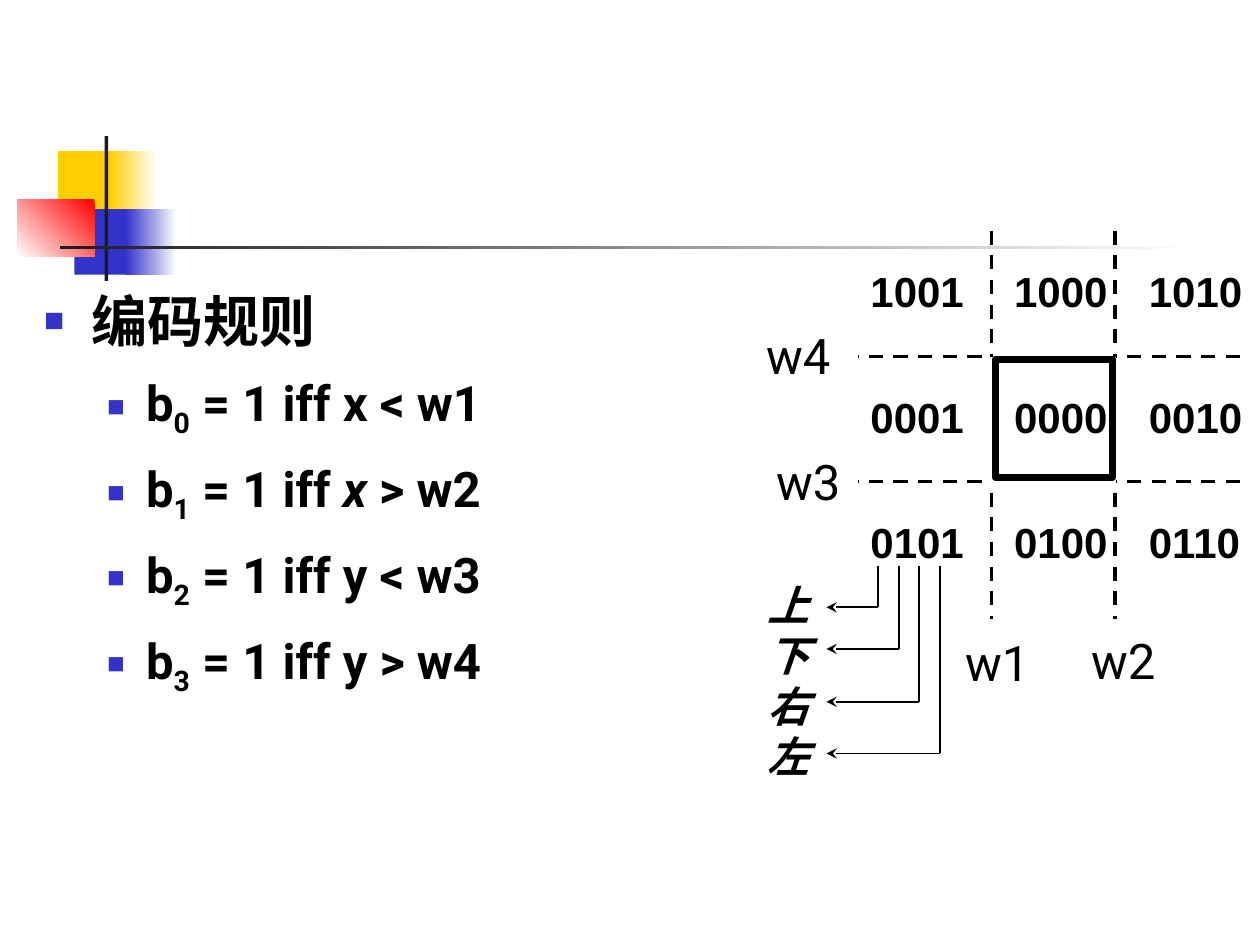
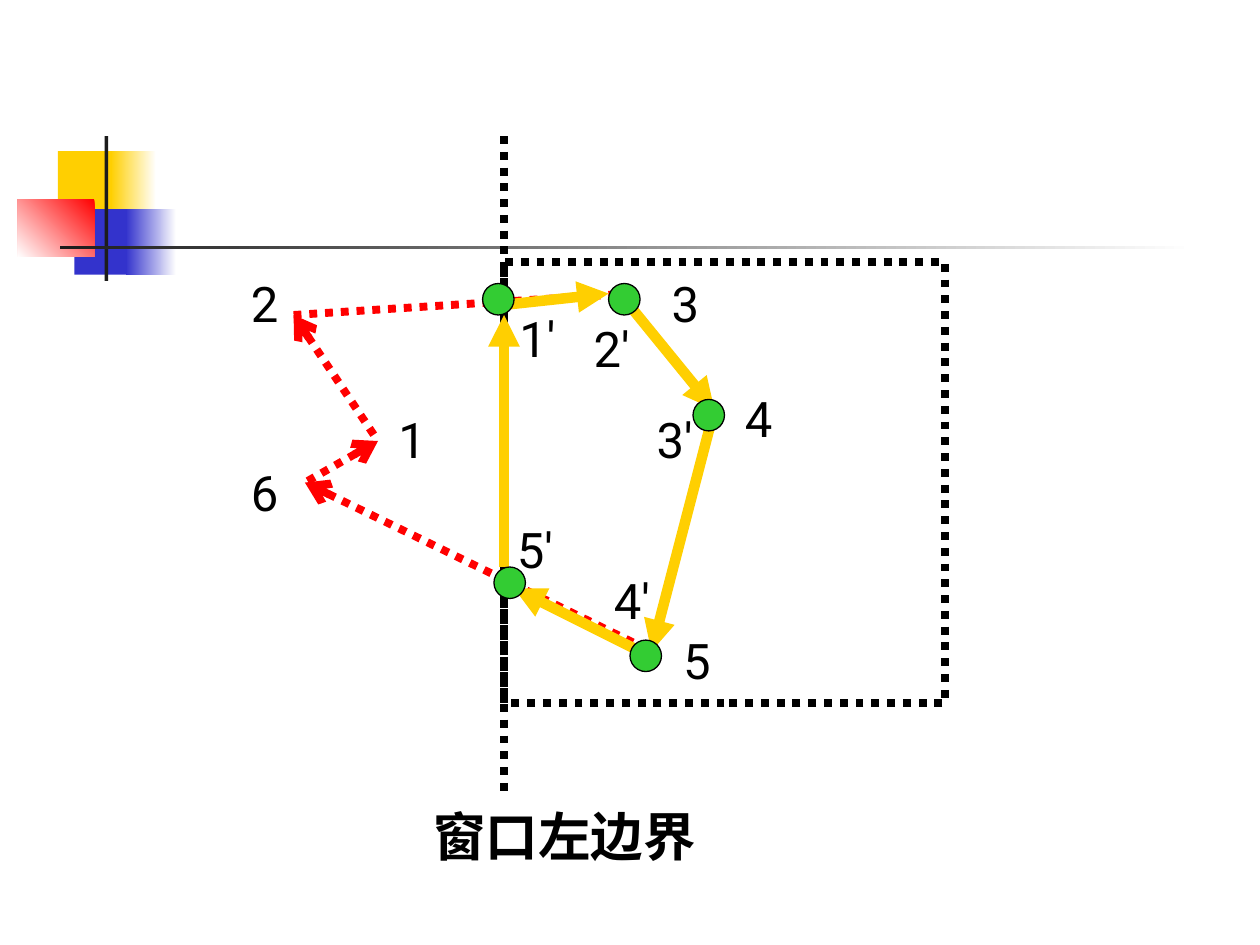
from typing import NamedTuple, Optional

from lxml import etree
from pptx import Presentation
from pptx.dml.color import RGBColor
from pptx.enum.dml import MSO_LINE
from pptx.enum.shapes import MSO_CONNECTOR, MSO_SHAPE
from pptx.enum.text import MSO_ANCHOR, MSO_AUTO_SIZE, PP_ALIGN
from pptx.oxml.ns import qn
from pptx.util import Inches, Pt

RECTANGLE, OVAL = MSO_SHAPE.RECTANGLE, MSO_SHAPE.OVAL
STRAIGHT = MSO_CONNECTOR.STRAIGHT
DASH, DOTS = MSO_LINE.DASH, MSO_LINE.ROUND_DOT
TOP, MIDDLE = MSO_ANCHOR.TOP, MSO_ANCHOR.MIDDLE
LEFT, CENTER, RIGHT = PP_ALIGN.LEFT, PP_ALIGN.CENTER, PP_ALIGN.RIGHT
NO_AUTOSIZE = MSO_AUTO_SIZE.NONE

BLACK = RGBColor(0x00, 0x00, 0x00)
WHITE = RGBColor(0xFF, 0xFF, 0xFF)
CHARCOAL = RGBColor(0x1C, 0x1C, 0x1C)
YELLOW = RGBColor(0xFF, 0xCF, 0x01)
BLUE = RGBColor(0x33, 0x33, 0xCC)
RED = RGBColor(0xFF, 0x00, 0x00)
GREEN = RGBColor(0x33, 0xCC, 0x33)

BODY_FONT, CODE_FONT = "Roboto", "Arial"
TITLE_AND_CONTENT, BLANK = 1, 6


class Box(NamedTuple):
    left: float
    top: float
    width: float
    height: float

    def lengths(self):
        return [Inches(value) for value in self]


class Point(NamedTuple):
    x: float
    y: float


class Stroke(NamedTuple):
    color: RGBColor
    width: float
    dash: Optional[MSO_LINE] = None
    head: Optional[str] = None
    tail: Optional[str] = None


class TextStyle(NamedTuple):
    font: str
    size: float
    bold: bool = False
    italic: bool = False
    align: PP_ALIGN = LEFT
    anchor: MSO_ANCHOR = TOP
    wrap: bool = False
    padded: bool = True


class Band(NamedTuple):
    box: Box
    color: RGBColor
    fade_to: Optional[RGBColor] = None
    angle: float = 180


class Label(NamedTuple):
    text: str
    left: float
    top: float


BANDS = [
    Band(Box(0.46, 1.2, 0.48, 0.52), YELLOW),
    Band(Box(0.88, 1.2, 0.36, 0.52), WHITE, YELLOW),
    Band(Box(0.59, 1.66, 0.46, 0.52), BLUE),
    Band(Box(1, 1.66, 0.4, 0.52), WHITE, BLUE),
    Band(Box(0.14, 1.58, 0.61, 0.46), RED, WHITE, 225),
    Band(Box(0.83, 1.08, 0.03, 1.15), CHARCOAL),
    Band(Box(0.48, 1.95, 9, 0.03), WHITE, CHARCOAL),
]

LABEL = TextStyle(BODY_FONT, 28, align=CENTER, anchor=MIDDLE, padded=False)
CODE = TextStyle(CODE_FONT, 24, bold=True, wrap=True)
DIRECTION = TextStyle(CODE_FONT, 24, bold=True, italic=True, align=RIGHT)
CAPTION = TextStyle(BODY_FONT, 30, bold=True)

WINDOW_EDGE = Stroke(BLACK, 4)
EXTENSION = Stroke(BLACK, 2, DASH)
LEADER = Stroke(BLACK, 1)
LEADER_ARROW = Stroke(BLACK, 1, tail="stealth")
CLIP_EDGE = Stroke(BLACK, 4.5, DOTS)
OUTLINE = Stroke(RED, 4.5, DOTS)
OUTLINE_ARROW = Stroke(RED, 4.5, DOTS, head="arrow")
CLIPPED = Stroke(YELLOW, 6, tail="triangle")
DOT_EDGE = Stroke(BLACK, 0.75)

RULES_HEADING = "编码规则"
RULES = [
    ("0", "x", False, " < w1"),
    ("1", "x", True, " > w2"),
    ("2", "y", False, " < w3"),
    ("3", "y", False, " > w4"),
]

CODE_COLUMNS = (6.81, 7.95, 9.02)
CODE_ROWS = (2.06, 3.06, 4.05)
CODES = [
    ("1001", "1000", "1010"),
    ("0001", "0000", "0010"),
    ("0101", "0100", "0110"),
]
DIRECTIONS = "上\n下\n右\n左"
LEADER_BOTTOMS = (4.82, 5.15, 5.57, 5.98)
EDGE_LABELS = [
    Label("w1", 7.65, 5.02),
    Label("w2", 8.65, 5),
    Label("w3", 6.15, 3.58),
    Label("w4", 6.07, 2.58),
]

V1, V2, V3 = Point(3, 3.5), Point(2.33, 2.5), Point(4.92, 2.33)
V4, V5, V6 = Point(5.67, 3.25), Point(5.17, 5.17), Point(2.42, 3.83)
POLYGON_SIDES = [
    (V2, V1, OUTLINE_ARROW),
    (V2, Point(5, 2.33), OUTLINE),
    (V1, V6, OUTLINE_ARROW),
    (V6, V5, OUTLINE_ARROW),
    (V3, V4, CLIPPED),
    (V4, V5, CLIPPED),
    (Point(4, 4.5), Point(4, 2.5), CLIPPED),
    (Point(4, 2.42), Point(4.83, 2.33), CLIPPED),
    (Point(5.08, 5.17), Point(4.08, 4.67), CLIPPED),
]
DOT_SIZE = 0.25
DOT_CORNERS = [
    Point(4.83, 2.25),
    Point(5.5, 3.17),
    Point(3.83, 2.25),
    Point(3.92, 4.5),
    Point(5, 5.08),
]
VERTEX_LABELS = [
    Label("1", 3.16, 3.25),
    Label("2", 1.99, 2.17),
    Label("3", 5.33, 2.17),
    Label("4", 5.91, 3.08),
    Label("5", 5.42, 5),
    Label("6", 1.99, 3.67),
]
CLIPPED_LABELS = [
    Label("1'", 4.11, 2.45),
    Label("2'", 4.7, 2.53),
    Label("3'", 5.2, 3.25),
    Label("4'", 4.86, 4.53),
    Label("5'", 4.09, 4.12),
]


def apply_stroke(line, stroke: Stroke) -> None:
    line.color.rgb = stroke.color
    line.width = Pt(stroke.width)
    if stroke.dash is not None:
        line.dash_style = stroke.dash


def add_outlined(slide, kind, box: Box, stroke: Stroke, color: Optional[RGBColor] = None):
    shape = slide.shapes.add_shape(kind, *box.lengths())
    shape.shadow.inherit = False
    if color is None:
        shape.fill.background()
    else:
        shape.fill.solid()
        shape.fill.fore_color.rgb = color
    apply_stroke(shape.line, stroke)


def add_band(slide, band: Band) -> None:
    shape = slide.shapes.add_shape(RECTANGLE, *band.box.lengths())
    shape.shadow.inherit = False
    shape.line.fill.background()
    if band.fade_to is None:
        shape.fill.solid()
        shape.fill.fore_color.rgb = band.color
        return
    shape.fill.gradient()
    shape.fill.gradient_angle = band.angle
    for stop, color in zip(shape.fill.gradient_stops, (band.color, band.fade_to)):
        stop.color.rgb = color


def add_line(slide, start: Point, end: Point, stroke: Stroke) -> None:
    ends = [Inches(value) for value in (*start, *end)]
    connector = slide.shapes.add_connector(STRAIGHT, *ends)
    apply_stroke(connector.line, stroke)
    outline = connector.line._get_or_add_ln()
    for tag, arrow in (("a:headEnd", stroke.head), ("a:tailEnd", stroke.tail)):
        if arrow:
            etree.SubElement(outline, qn(tag)).set("type", arrow)
    etree.SubElement(connector._element.spPr, qn("a:effectLst"))


def format_font(font, style: TextStyle) -> None:
    font.name = style.font
    font.size = Pt(style.size)
    font.bold = style.bold
    font.italic = style.italic
    font.color.rgb = BLACK


def add_text(slide, text: str, box: Box, style: TextStyle) -> None:
    frame = slide.shapes.add_textbox(*box.lengths()).text_frame
    frame.word_wrap = style.wrap
    frame.vertical_anchor = style.anchor
    if not style.padded:
        frame.margin_left = frame.margin_right = 0
        frame.margin_top = frame.margin_bottom = 0
    frame.text = text
    for paragraph in frame.paragraphs:
        paragraph.alignment = style.align
        for run in paragraph.runs:
            format_font(run.font, style)


def add_labels(slide, labels: list[Label], width: float) -> None:
    for label in labels:
        add_text(slide, label.text, Box(label.left, label.top, width, 0.47), LABEL)


def set_bullet(paragraph, margin: float, hanging: float) -> None:
    properties = paragraph._p.get_or_add_pPr()
    properties.set("marL", str(Inches(margin)))
    properties.set("indent", str(-Inches(hanging)))
    color = etree.SubElement(properties, qn("a:buClr"))
    etree.SubElement(color, qn("a:srgbClr")).set("val", str(BLUE))
    etree.SubElement(properties, qn("a:buSzPct")).set("val", "60000")
    etree.SubElement(properties, qn("a:buFont")).set("typeface", CODE_FONT)
    etree.SubElement(properties, qn("a:buChar")).set("char", "■")
    paragraph.line_spacing = 1.1


def fill_rules(body) -> None:
    body.left, body.top, body.width, body.height = Box(0.25, 2.17, 4.75, 5).lengths()
    frame = body.text_frame
    frame.auto_size = NO_AUTOSIZE
    frame.vertical_anchor = TOP
    frame.text = RULES_HEADING
    heading = frame.paragraphs[0]
    set_bullet(heading, 0.38, 0.38)
    heading.space_before = Pt(0)
    format_font(heading.runs[0].font, TextStyle(BODY_FONT, 32, bold=True))
    for bit, variable, slanted, condition in RULES:
        rule = frame.add_paragraph()
        rule.level = 1
        set_bullet(rule, 0.81, 0.31)
        rule.space_before = Pt(7)
        for text in ("b", bit, " = 1 iff ", variable, condition):
            run = rule.add_run()
            run.text = text
            italic = slanted and text == variable
            format_font(run.font, TextStyle(BODY_FONT, 28, bold=True, italic=italic))
        rule.runs[1]._r.get_or_add_rPr().set("baseline", "-25000")


def build_region_codes(prs) -> None:
    slide = prs.slides.add_slide(prs.slide_layouts[TITLE_AND_CONTENT])
    title = slide.shapes.title._element
    title.getparent().remove(title)
    for band in BANDS:
        add_band(slide, band)
    fill_rules(slide.placeholders[1])

    add_outlined(slide, RECTANGLE, Box(7.9, 2.85, 0.93, 0.94), WINDOW_EDGE)
    for x in (7.87, 8.85):
        for top in (1.83, 3.91):
            add_line(slide, Point(x, top), Point(x, top + 1), EXTENSION)
    for y in (2.83, 3.82):
        for right in (7.79, 9.84):
            add_line(slide, Point(right, y), Point(right - 0.98, y), EXTENSION)
    for top, row in zip(CODE_ROWS, CODES):
        for left, code in zip(CODE_COLUMNS, row):
            add_text(slide, code, Box(left, top, 0.98, 0.5), CODE)

    add_text(slide, DIRECTIONS, Box(5.98, 4.55, 0.54, 1.7), DIRECTION)
    for bit, bottom in enumerate(LEADER_BOTTOMS):
        corner = Point(6.97 + bit * 0.49 / 3, bottom)
        add_line(slide, Point(corner.x, 4.49), corner, LEADER)
        add_line(slide, corner, Point(6.56, bottom), LEADER_ARROW)
    add_labels(slide, EDGE_LABELS, 0.53)


def build_polygon_clipping(prs) -> None:
    slide = prs.slides.add_slide(prs.slide_layouts[BLANK])
    for band in BANDS:
        add_band(slide, band)
    add_outlined(slide, RECTANGLE, Box(4, 2.08, 3.5, 3.5), CLIP_EDGE)
    add_line(slide, Point(4, 1.08), Point(4, 6.33), CLIP_EDGE)
    for start, end, stroke in POLYGON_SIDES:
        add_line(slide, start, end, stroke)
    for corner in DOT_CORNERS:
        add_outlined(slide, OVAL, Box(*corner, DOT_SIZE, DOT_SIZE), DOT_EDGE, GREEN)
    add_labels(slide, VERTEX_LABELS, 0.22)
    add_labels(slide, CLIPPED_LABELS, 0.31)
    add_text(slide, "窗口左边界", Box(3.34, 6.33, 2.28, 0.6), CAPTION)


def main() -> None:
    prs = Presentation()
    prs.slide_width, prs.slide_height = Inches(10), Inches(7.5)
    build_region_codes(prs)
    build_polygon_clipping(prs)
    prs.save("out.pptx")


if __name__ == "__main__":
    main()
